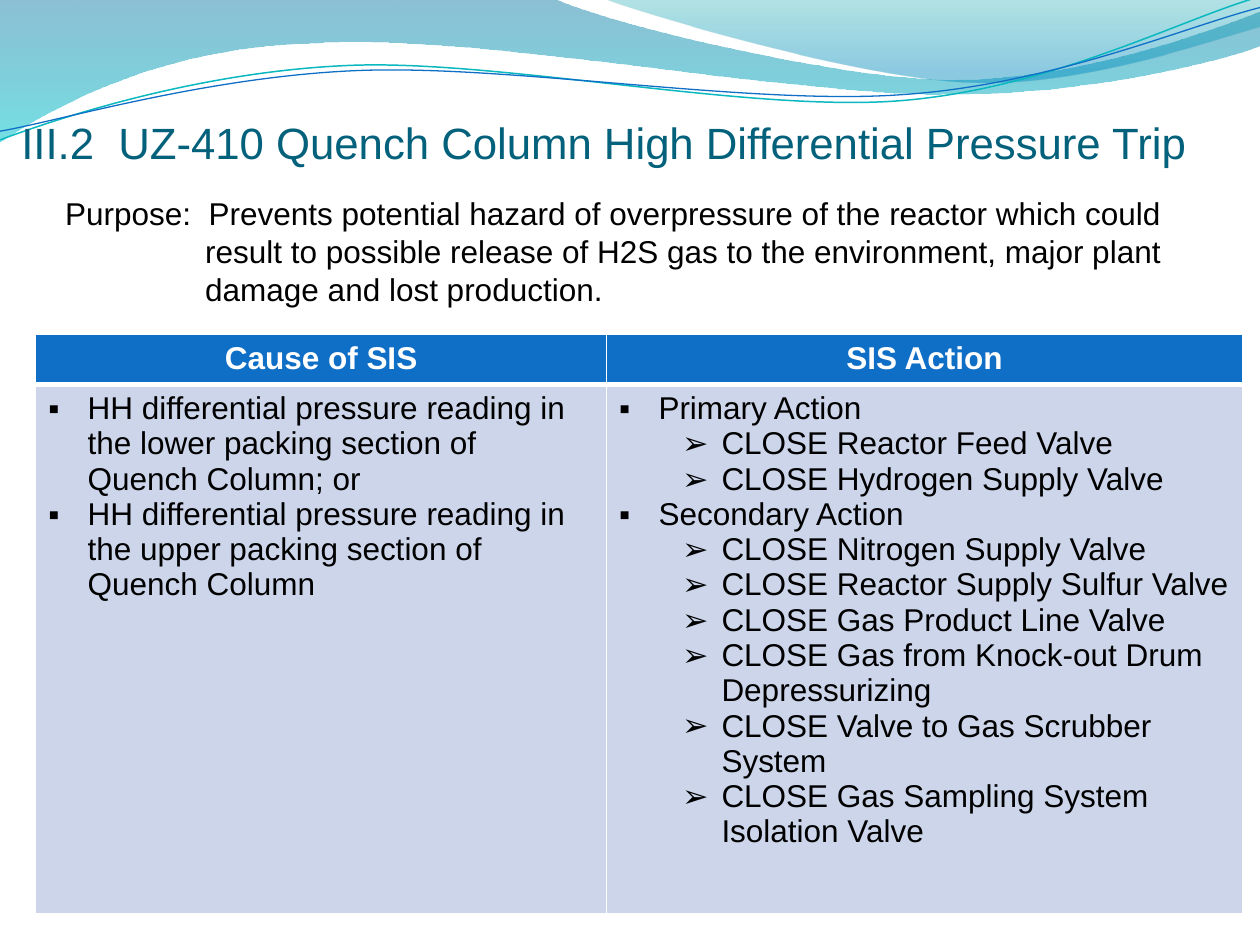
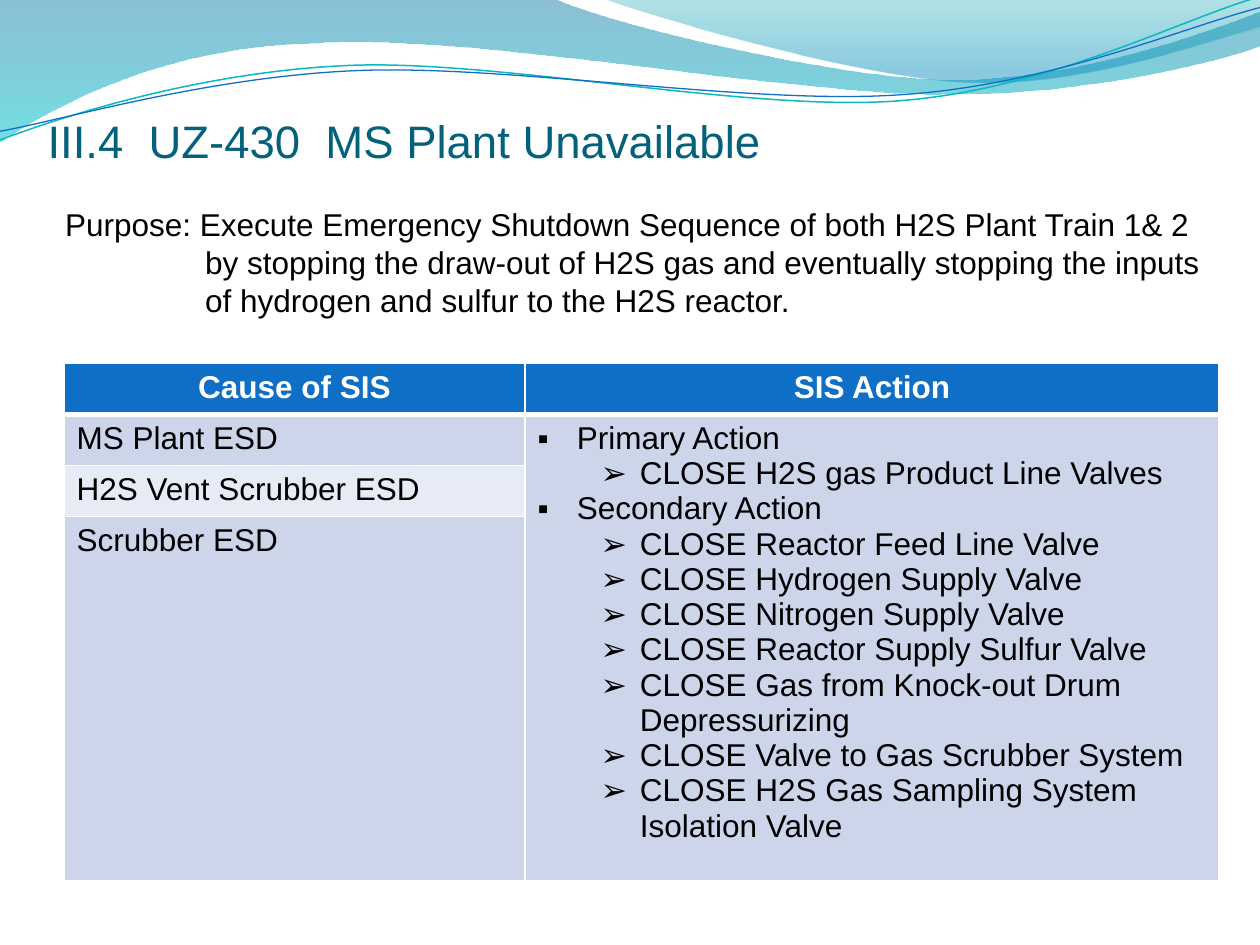
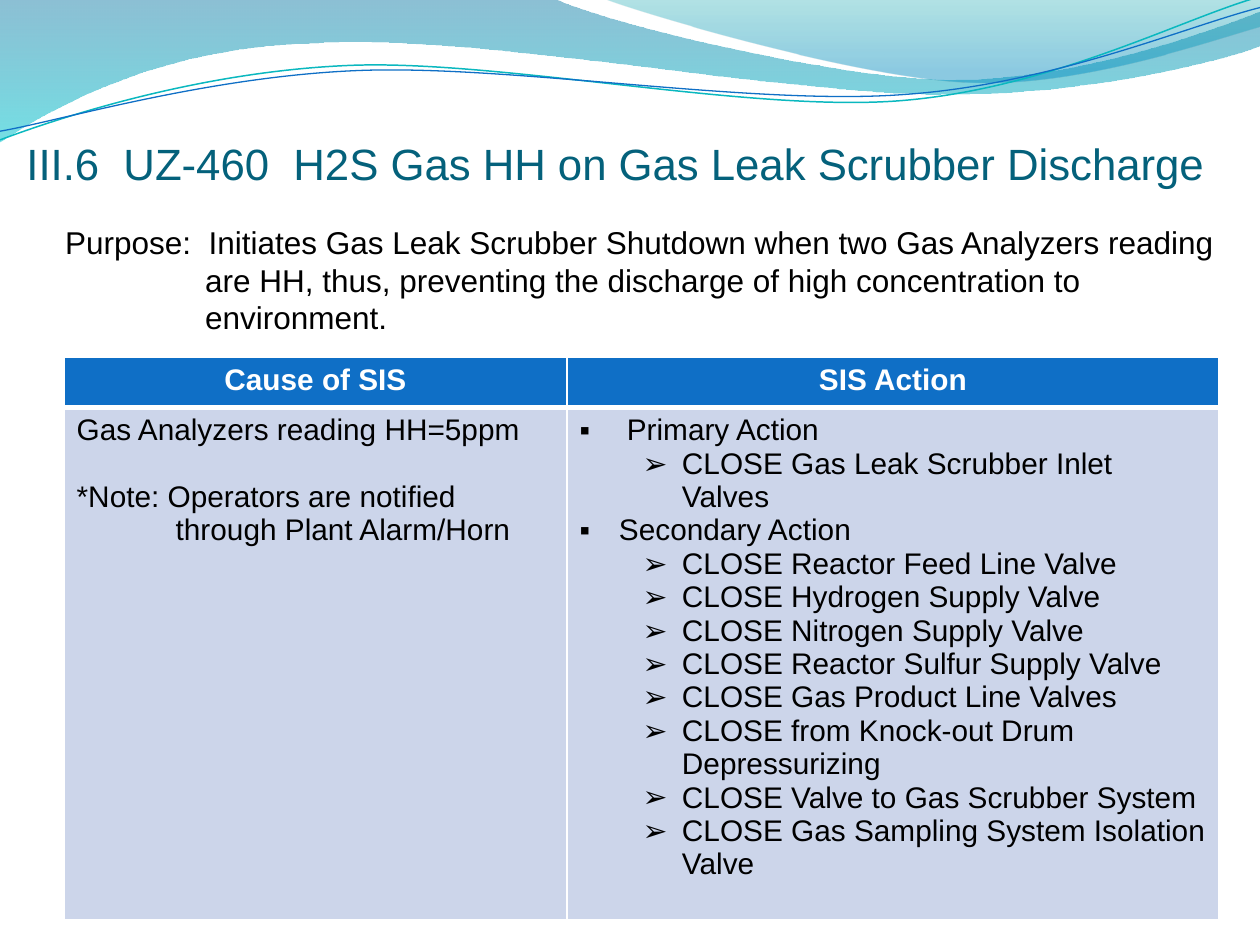
from itertools import islice
from lxml.etree import SubElement
from pptx import Presentation
from pptx.dml.color import RGBColor
from pptx.enum.text import MSO_ANCHOR as ANCHOR, MSO_AUTO_SIZE as FIT, PP_ALIGN as ALIGN
from pptx.oxml.ns import qn
from pptx.util import Pt

FONT = "Arial"
COLORS = {
    "title": "04617B", "text": "000000", "white": "FFFFFF", "header": "0F6FC6",
    "band_dark": "CCD5EA", "band_light": "E7EBF5", "teal_line": "0AB8BF",
    "blue": "0074A1", "cyan": "00C6CF", "teal": "00A1A9", "sky": "008BBF",
}

STYLES = {
    "plain": dict(margin=0, indent=0, bullet=None, before=0),
    "action": dict(margin=22.5, indent=-22.5, bullet="▪", before=0),
    "wide action": dict(margin=27, indent=-27, bullet="▪", before=0),
    "step": dict(margin=58.5, indent=-22.5, bullet="➢", before=0),
    "note": dict(margin=0, indent=0, bullet=None, before=19),
    "note more": dict(margin=56.6, indent=0, bullet=None, before=0),
    "purpose more": dict(margin=80, indent=0, bullet=None, before=0),
}

WAVES = [
    dict(start=(0, 0), stops=[(0, "blue", 45), (1, "cyan", 55)], path=[
        (316.8, -0.7),
        (342.7, 12.2, 478.1, 45.4, 545.8, 45.4),
        (614.2, 45.4, 689.8, 18.7, 720, 6.5),
        (720.7, 25.9),
        (707.8, 31.7, 626.4, 54.7, 537.1, 54),
        (447.8, 54, 275, 20.2, 185, 24.5),
        (92.9, 25.9, 33.1, 59.8, -0.7, 81.4)]),
    dict(start=(344.9, -0.7), stops=[(0, "teal", 30), (0.8, "sky", 45)], path=[
        (366.5, 7.9, 491, 44.6, 553.7, 46.8),
        (616.3, 49.7, 691.9, 23, 720, 15.1),
        (720, 0)]),
    dict(start=(-1.4, 63), line=("teal_line", 0.85), path=[
        (33.8, 51.7, 114.1, 29.4, 199.8, 29.9),
        (284.9, 30.3, 425.8, 67.3, 512.4, 64.9),
        (599, 62.4, 676.5, 25.7, 720.2, 15.5)]),
    dict(start=(-1.1, 58), line=("header", 0.75), path=[
        (32.9, 53.8, 118.3, 32.5, 204.1, 33),
        (290.6, 33.4, 428.9, 63.8, 515.5, 61.4),
        (601.4, 59.6, 678.4, 30.1, 721.4, 21.3)]),
]
LINE_TILT = 357.3

SLIDES = [
    dict(
        title="III.2  UZ-410 Quench Column High Differential Pressure Trip",
        title_box=(12.2, 36.2, 686.9, 59.8), title_size=25,
        purpose=["Purpose:  Prevents potential hazard of overpressure of the reactor which could",
                 "result to possible release of H2S gas to the environment, major plant",
                 "damage and lost production."],
        purpose_top=107.3,
        table_at=(20.4, 191), cols=(326.2, 363.4), rows=(28.8, 302.2), size=18,
        causes=[[
            ("action", "HH differential pressure reading in the lower packing section of "
                       "Quench Column; or"),
            ("action", "HH differential pressure reading in the upper packing section of "
                       "Quench Column")]],
        actions=[
            ("action", "Primary Action"),
            ("step", "CLOSE Reactor Feed Valve"),
            ("step", "CLOSE Hydrogen Supply Valve"),
            ("action", "Secondary Action"),
            ("step", "CLOSE Nitrogen Supply Valve"),
            ("step", "CLOSE Reactor Supply Sulfur Valve"),
            ("step", "CLOSE Gas Product Line Valve"),
            ("step", "CLOSE Gas from Knock-out Drum Depressurizing"),
            ("step", "CLOSE Valve to Gas Scrubber System"),
            ("step", "CLOSE Gas Sampling System Isolation Valve")]),
    dict(
        title="III.4  UZ-430  MS Plant Unavailable",
        title_box=(27.2, 36.2, 671.8, 59.8), title_size=26,
        purpose=["Purpose: Execute Emergency Shutdown Sequence of both H2S Plant Train 1& 2",
                 "by stopping the draw-out of H2S gas and eventually stopping the inputs",
                 "of hydrogen and sulfur to the H2S reactor."],
        purpose_top=113.8,
        table_at=(36.6, 207.6), cols=(263.4, 396.6), rows=(29.2, 29.2, 29.2, 208), size=18,
        causes=[[("plain", "MS Plant ESD")],
                [("plain", "H2S Vent Scrubber ESD")],
                [("plain", "Scrubber ESD")]],
        actions=[
            ("action", "Primary Action"),
            ("step", "CLOSE H2S gas Product Line Valves"),
            ("action", "Secondary Action"),
            ("step", "CLOSE Reactor Feed Line Valve"),
            ("step", "CLOSE Hydrogen Supply Valve"),
            ("step", "CLOSE Nitrogen Supply Valve"),
            ("step", "CLOSE Reactor Supply Sulfur Valve"),
            ("step", "CLOSE Gas from Knock-out Drum Depressurizing"),
            ("step", "CLOSE Valve to Gas Scrubber System"),
            ("step", "CLOSE H2S Gas Sampling System Isolation Valve")]),
    dict(
        title="III.6  UZ-460  H2S Gas HH on Gas Leak Scrubber Discharge",
        title_box=(15.1, 48.2, 692.6, 59.8), title_size=25,
        purpose=["Purpose:  Initiates Gas Leak Scrubber Shutdown when two Gas Analyzers reading",
                 "are HH, thus, preventing the discharge of high concentration to",
                 "environment."],
        purpose_top=123.8,
        table_at=(36.6, 204), cols=(287.4, 372.6), rows=(28.8, 291.8), size=17,
        causes=[[("plain", "Gas Analyzers reading HH=5ppm"),
                 ("note", "*Note: Operators are notified"),
                 ("note more", "through Plant Alarm/Horn")]],
        actions=[
            ("wide action", "Primary Action"),
            ("step", "CLOSE Gas Leak Scrubber Inlet Valves"),
            ("action", "Secondary Action"),
            ("step", "CLOSE Reactor Feed Line Valve"),
            ("step", "CLOSE Hydrogen Supply Valve"),
            ("step", "CLOSE Nitrogen Supply Valve"),
            ("step", "CLOSE Reactor Sulfur Supply Valve"),
            ("step", "CLOSE Gas Product Line Valves"),
            ("step", "CLOSE from Knock-out Drum Depressurizing"),
            ("step", "CLOSE Valve to Gas Scrubber System"),
            ("step", "CLOSE Gas Sampling System Isolation Valve")]),
]


def rgb(name):
    return RGBColor.from_string(COLORS[name])


def format_runs(p, size, color, bold=False):
    for r in p.runs:
        r.font.name = FONT
        r.font.size = Pt(size)
        r.font.bold = bold
        r.font.color.rgb = rgb(color)


def write_paragraphs(tf, items, size):
    for i, (name, text) in enumerate(items):
        p = tf.paragraphs[0] if i == 0 else tf.add_paragraph()
        p.text = text
        style = STYLES[name]
        pPr = p._p.get_or_add_pPr()
        pPr.set("marL", str(Pt(style["margin"])))
        pPr.set("indent", str(Pt(style["indent"])))
        if style["bullet"]:
            SubElement(pPr, qn("a:buFont"), typeface=FONT)
            SubElement(pPr, qn("a:buChar"), char=style["bullet"])
        if style["before"]:
            p.space_before = Pt(style["before"])
        format_runs(p, size, "text")


def draw_curve(s, start, parts, close):
    points = [(Pt(x), Pt(y)) for part in parts for x, y in zip(part[::2], part[1::2])]
    builder = s.shapes.build_freeform(Pt(start[0]), Pt(start[1]), scale=1.0)
    builder.add_line_segments(points, close=close)
    sp = builder.convert_to_shape()
    outline = next(sp.element.iter(qn("a:path")))
    segments = iter(outline.findall(qn("a:lnTo")))
    for part in parts:
        first, *rest = islice(segments, len(part) // 2)
        for segment in rest:
            first.append(segment[0])
            outline.remove(segment)
        if rest:
            first.tag = qn("a:cubicBezTo")
    return sp


def fill_gradient(sp, stops):
    sp.fill.gradient()
    sp.fill.gradient_angle = 270
    for stop, (position, color, _) in zip(sp.fill.gradient_stops, stops):
        stop.position = position
        stop.color.rgb = rgb(color)
    for gs, (_, _, opacity) in zip(sp.element.iter(qn("a:gs")), stops):
        SubElement(gs[0], qn("a:alpha"), val=str(opacity * 1000))


def add_waves(s, layout):
    for i, wave in enumerate(WAVES):
        filled = "stops" in wave
        sp = draw_curve(s, wave["start"], wave["path"], filled)
        sp.shadow.inherit = False
        if filled:
            fill_gradient(sp, wave["stops"])
            sp.line.fill.background()
        else:
            color, width = wave["line"]
            sp.fill.background()
            sp.line.color.rgb = rgb(color)
            sp.line.width = Pt(width)
            sp.rotation = LINE_TILT
        sp.element.nvSpPr.cNvPr.set("id", str(100 + i))
        layout.shapes.element.insert(2 + i, sp.element)


def set_title(s, text, box, size):
    sp = s.shapes.title
    sp.left, sp.top, sp.width, sp.height = map(Pt, box)
    tf = sp.text_frame
    tf.text = text
    tf.word_wrap = True
    tf.auto_size = FIT.NONE
    tf.vertical_anchor = ANCHOR.BOTTOM
    tf.margin_left = tf.margin_right = tf.margin_bottom = 0
    tf.margin_top = Pt(3.6)
    tf.paragraphs[0].alignment = ALIGN.LEFT
    format_runs(tf.paragraphs[0], size, "title")


def add_purpose(s, lines, top):
    tf = s.shapes.add_textbox(Pt(30.2), Pt(top), Pt(671.8), Pt(72.7)).text_frame
    tf.word_wrap = True
    tf.auto_size = FIT.SHAPE_TO_FIT_TEXT
    styles = ["plain"] + ["purpose more"] * (len(lines) - 1)
    write_paragraphs(tf, zip(styles, lines), 18)


def style_cell(cell, fill, top=1, bottom=1):
    cell.fill.solid()
    cell.fill.fore_color.rgb = rgb(fill)
    tcPr = cell._tc.get_or_add_tcPr()
    for i, (side, width) in enumerate(zip("LRTB", (1, 1, top, bottom))):
        ln = SubElement(tcPr, qn("a:ln" + side), w=str(Pt(width)))
        SubElement(SubElement(ln, qn("a:solidFill")), qn("a:srgbClr"), val=COLORS["white"])
        tcPr.insert(i, ln)


def add_sis_table(s, at, cols, rows, causes, actions, size):
    box = (*at, sum(cols), sum(rows))
    table = s.shapes.add_table(len(rows), len(cols), *map(Pt, box)).table
    table.horz_banding = False
    for column, width in zip(table.columns, cols):
        column.width = Pt(width)
    for row, height in zip(table.rows, rows):
        row.height = Pt(height)

    for c, heading in enumerate(("Cause of SIS", "SIS Action")):
        cell = table.cell(0, c)
        cell.text_frame.text = heading
        p = cell.text_frame.paragraphs[0]
        p.alignment = ALIGN.CENTER
        format_runs(p, size, "white", bold=True)
        style_cell(cell, "header", bottom=3)

    for i, cause in enumerate(causes, 1):
        top = 3 if i == 1 else 1
        write_paragraphs(table.cell(i, 0).text_frame, cause, size)
        style_cell(table.cell(i, 0), "band_dark" if i % 2 else "band_light", top)
        style_cell(table.cell(i, 1), "band_dark", top)
    if len(causes) > 1:
        table.cell(1, 1).merge(table.cell(len(causes), 1))
    write_paragraphs(table.cell(1, 1).text_frame, actions, size)


def add_trip_slide(prs, layout, trip):
    s = prs.slides.add_slide(layout)
    set_title(s, trip["title"], trip["title_box"], trip["title_size"])
    add_purpose(s, trip["purpose"], trip["purpose_top"])
    add_sis_table(s, trip["table_at"], trip["cols"], trip["rows"],
                  trip["causes"], trip["actions"], trip["size"])
    return s


def main():
    prs = Presentation()
    prs.slide_width, prs.slide_height = Pt(720), Pt(540)
    layout = prs.slide_layouts[5]
    slides = [add_trip_slide(prs, layout, trip) for trip in SLIDES]
    add_waves(slides[0], layout)
    prs.save("out.pptx")


if __name__ == "__main__":
    main()
